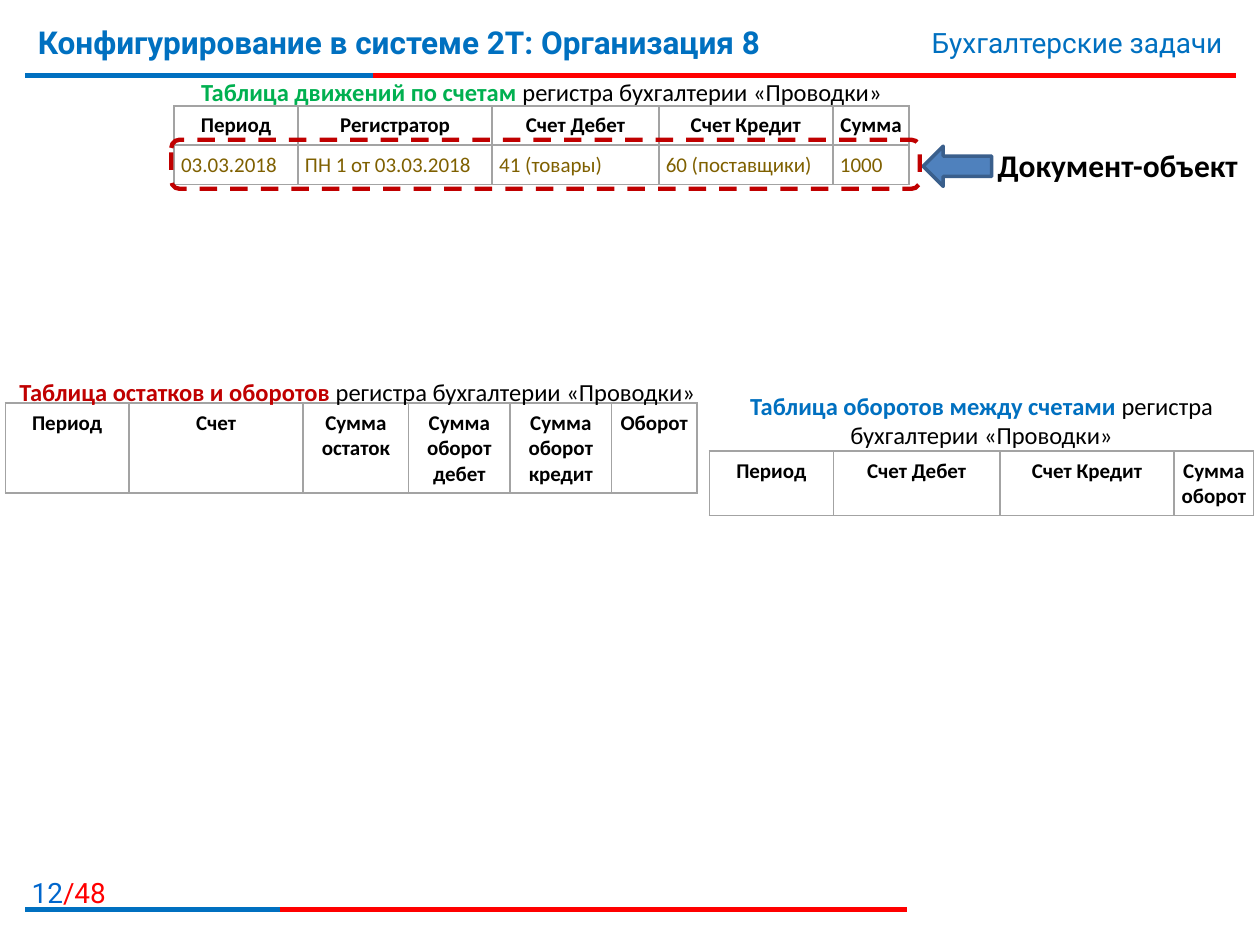
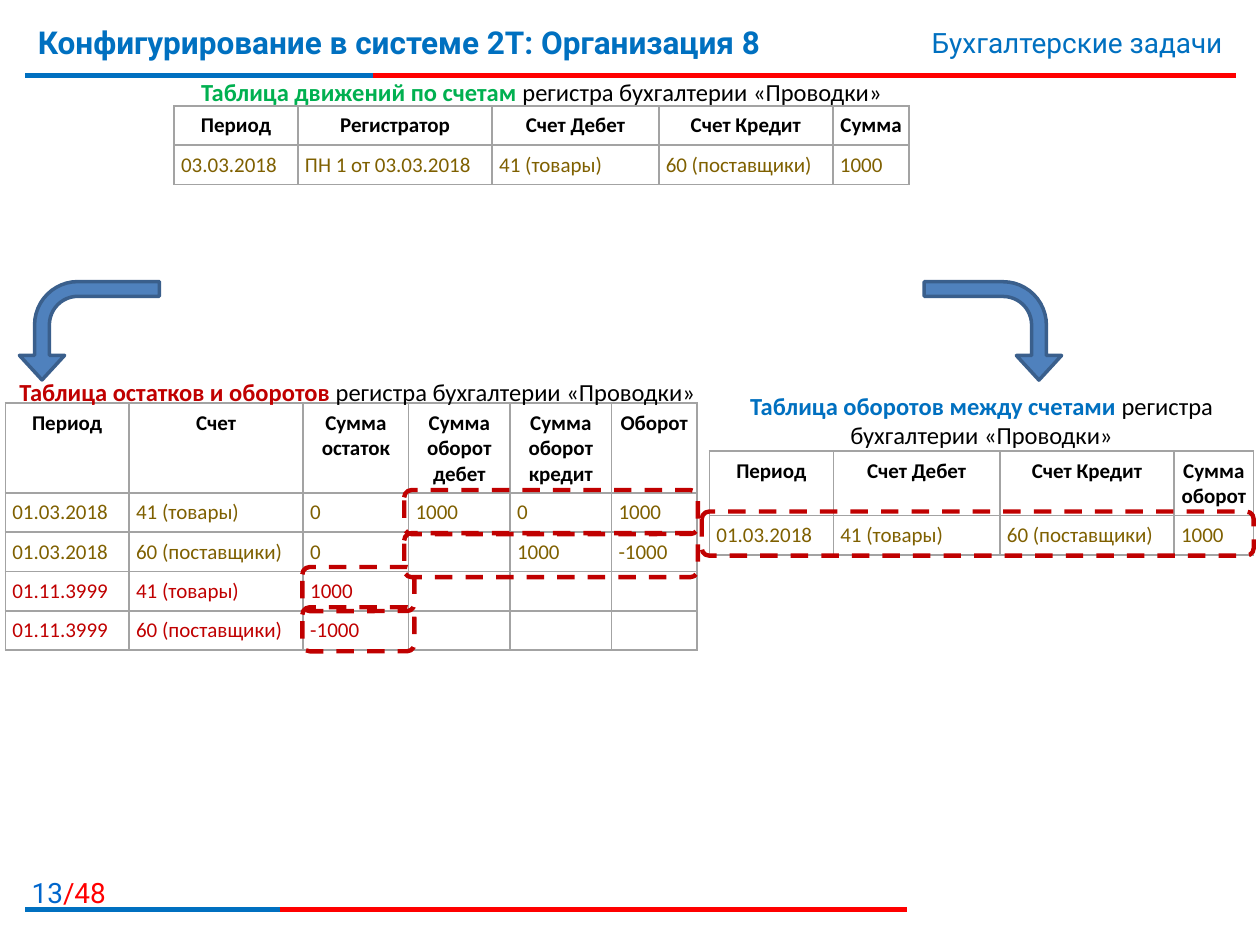
"""Build two slides on the movement, balance and turnover tables of a ledger register."""
from dataclasses import dataclass

from lxml import etree
from pptx import Presentation
from pptx.dml.color import RGBColor
from pptx.enum import dml, shapes, text
from pptx.oxml import ns
from pptx.util import Pt


@dataclass(frozen=True)
class Theme:
    """Colours, fonts and type sizes of the deck."""
    blue: str = "0070C0"
    page_blue: str = "0066CC"
    red: str = "FF0000"
    dark_red: str = "C00000"
    green: str = "00B050"
    olive: str = "7F6000"
    black: str = "000000"
    grid: str = "A3A3A3"
    arrow: str = "4F81BD"
    arrow_edge: str = "3A5F8C"
    head_font: str = "Roboto"
    body_font: str = "Calibri"
    title: int = 18
    topic: int = 16
    caption: int = 14
    cell: int = 12


THEME = Theme()
TITLE = "Конфигурирование в системе 2Т: Организация 8"
TOPIC = "Бухгалтерские задачи"
REGISTER = "регистра бухгалтерии «Проводки»"
PAGE_COUNT = 48
GOODS, SUPPLIERS = "41 (товары)", "60 (поставщики)"
MONTH, FAR_DATE = "01.03.2018", "01.11.3999"
ROW_HEIGHT = 22.5
PERIOD_WIDTH, DEBIT_WIDTH, ACCOUNT_WIDTH = 70.8, 95.2, 99.5

MOVEMENTS = {
    "left": 99.5, "top": 60.5, "header_height": ROW_HEIGHT,
    "widths": (PERIOD_WIDTH, 111, DEBIT_WIDTH, ACCOUNT_WIDTH, 43.6),
    "header": ("Период", "Регистратор", "Счет Дебет", "Счет Кредит", "Сумма"),
    "caption": ("Таблица движений по счетам ", REGISTER),
    "caption_box": (100, 40.3, 419, 24.2), "caption_color": THEME.green,
}
BALANCES = {
    "left": 3, "top": 230.4, "header_height": 51,
    "widths": (PERIOD_WIDTH, ACCOUNT_WIDTH, 60.2, 58, 58, 48.8),
    "header": ("Период", "Счет", "Сумма остаток", "Сумма оборот дебет",
               "Сумма оборот кредит", "Оборот"),
    "caption": ("Таблица остатков и оборотов", " " + REGISTER),
    "caption_box": (3, 211.7, 402.5, 24.2), "caption_color": THEME.dark_red,
}
TURNOVERS = {
    "left": 405.4, "top": 257.8, "header_height": 36.8,
    "widths": (PERIOD_WIDTH, DEBIT_WIDTH, ACCOUNT_WIDTH, 45.5),
    "header": ("Период", "Счет Дебет", "Счет Кредит", "Сумма оборот"),
    "caption": ("Таблица оборотов между счетами", " " + REGISTER),
    "caption_box": (405.4, 219.6, 311, 41.2), "caption_color": THEME.blue,
}

MOVEMENT_ROWS = [("03.03.2018", "ПН 1 от 03.03.2018", GOODS, SUPPLIERS, "1000")]
BALANCE_ROWS = [
    (MONTH, GOODS, "0", "1000", "0", "1000"),
    (MONTH, SUPPLIERS, "0", "", "1000", "-1000"),
    (FAR_DATE, GOODS, "1000", "", "", ""),
    (FAR_DATE, SUPPLIERS, "-1000", "", "", ""),
]
TURNOVER_ROWS = [(MONTH, GOODS, SUPPLIERS, "1000")]


def apply(target, values):
    """Set every attribute named in values on target."""
    for name, value in values.items():
        setattr(target, name, value)


def points(*lengths):
    """Turn plain numbers into point lengths."""
    return [Pt(length) for length in lengths]


def write(frame, runs, align=text.PP_ALIGN.LEFT):
    """Fill a text frame with one paragraph of (wording, size, font, colour, bold) runs."""
    apply(frame, {"word_wrap": True, "vertical_anchor": text.MSO_ANCHOR.TOP})
    paragraph = frame.paragraphs[0]
    apply(paragraph, {"alignment": align, "space_before": Pt(0)})
    for wording, size, font, color, bold in runs:
        run = paragraph.add_run()
        run.text = wording
        apply(run.font, {"size": Pt(size), "name": font, "bold": bold})
        run.font.color.rgb = RGBColor.from_string(color)


def add_label(slide, box, runs, align=text.PP_ALIGN.LEFT):
    """Add a text box with one formatted paragraph."""
    write(slide.shapes.add_textbox(*points(*box)).text_frame, runs, align)


def add_rule(slide, y, blue_end, red_end):
    """Draw a red rule whose left part is covered in blue."""
    for color, end in ((THEME.red, red_end), (THEME.blue, blue_end)):
        rule = slide.shapes.add_connector(
            shapes.MSO_CONNECTOR.STRAIGHT, *points(14.4, y, end, y))
        rule.line.width = Pt(3)
        rule.line.color.rgb = RGBColor.from_string(color)
        etree.SubElement(rule.element.spPr, ns.qn("a:effectLst"))


def border_cell(cell):
    """Give a cell thin grey borders on all sides."""
    properties = cell._tc.get_or_add_tcPr()
    for side in ("lnL", "lnR", "lnT", "lnB"):
        line = etree.SubElement(properties, ns.qn("a:" + side), w=str(Pt(1)))
        fill = etree.SubElement(line, ns.qn("a:solidFill"))
        etree.SubElement(fill, ns.qn("a:srgbClr"), val=THEME.grid)


def fill_cell(cell, wording, color, bold, align):
    """Write one bordered table cell."""
    margins = ("margin_left", "margin_right", "margin_top", "margin_bottom")
    apply(cell, dict.fromkeys(margins, Pt(4)))
    border_cell(cell)
    cell.fill.background()
    paragraph = cell.text_frame.paragraphs[0]
    if wording:
        paragraph.alignment = align
        run = paragraph.add_run()
        run.text = wording
        apply(run.font, {"size": Pt(THEME.cell), "name": THEME.body_font, "bold": bold})
        run.font.color.rgb = RGBColor.from_string(color)
    else:
        etree.SubElement(paragraph._p, ns.qn("a:endParaRPr"), sz=str(THEME.cell * 100))


def add_register_table(slide, layout, rows=()):
    """Add a register table with its caption."""
    widths = layout["widths"]
    heights = [layout["header_height"]] + [ROW_HEIGHT] * len(rows)
    table = slide.shapes.add_table(
        len(heights), len(widths),
        *points(layout["left"], layout["top"], sum(widths), sum(heights))).table
    apply(table, {"first_row": False, "horz_banding": False})
    for column, width in zip(table.columns, widths):
        column.width = Pt(width)
    for row, height in zip(table.rows, heights):
        row.height = Pt(height)
    for column, wording in enumerate(layout["header"]):
        fill_cell(table.cell(0, column), wording, THEME.black, True, text.PP_ALIGN.CENTER)
    for index, values in enumerate(rows, start=1):
        color = THEME.dark_red if values[0] == FAR_DATE else THEME.olive
        for column, wording in enumerate(values):
            fill_cell(table.cell(index, column), wording, color, False, text.PP_ALIGN.LEFT)
    name, register = layout["caption"]
    add_label(slide, layout["caption_box"], [
        (name, THEME.caption, THEME.body_font, layout["caption_color"], True),
        (register, THEME.caption, THEME.body_font, THEME.black, False),
    ], text.PP_ALIGN.CENTER)


def add_highlight(slide, *box):
    """Frame table cells with a dashed rounded outline."""
    frame = slide.shapes.add_shape(shapes.MSO_SHAPE.ROUNDED_RECTANGLE, *points(*box))
    frame.shadow.inherit = False
    frame.fill.background()
    frame.line.color.rgb = RGBColor.from_string(THEME.dark_red)
    apply(frame.line, {"width": Pt(2.5), "dash_style": dml.MSO_LINE.DASH})


def add_arrow(slide, preset, box):
    """Add a filled block arrow."""
    arrow = slide.shapes.add_shape(preset, *points(*box))
    arrow.shadow.inherit = False
    arrow.fill.solid()
    arrow.fill.fore_color.rgb = RGBColor.from_string(THEME.arrow)
    arrow.line.color.rgb = RGBColor.from_string(THEME.arrow_edge)
    arrow.line.width = Pt(2)
    return arrow


def add_bent_arrow(slide, box, flips):
    """Add an arrow that bends down towards a table."""
    arrow = add_arrow(slide, shapes.MSO_SHAPE.BENT_ARROW, box)
    arrow.rotation = 270
    for index, value in enumerate((0.15, 0.23, 0.25, 0.44)):
        arrow.adjustments[index] = value
    for flip in flips:
        arrow.element.spPr.find(ns.qn("a:xfrm")).set(flip, "1")


def add_page(deck, number):
    """Add a slide with the shared title, topic, rules and page number."""
    slide = deck.slides.add_slide(deck.slide_layouts[5])
    add_rule(slide, 43.2, 213.1, 706.3)
    add_rule(slide, 519.8, 159.8, 518.4)
    left, top, width, height = points(14.4, 9.4, 532.8, 44.6)
    title = slide.shapes.title
    apply(title, {"left": left, "top": top, "width": width, "height": height})
    title.text_frame.auto_size = text.MSO_AUTO_SIZE.NONE
    write(title.text_frame, [(TITLE, THEME.title, THEME.head_font, THEME.blue, True)])
    add_label(slide, (427.7, 10.8, 278, 26.6),
              [(TOPIC, THEME.topic, THEME.head_font, THEME.blue, False)],
              text.PP_ALIGN.RIGHT)
    add_label(slide, (3.6, 496.8, 64, 23), [
        (str(number), THEME.topic, THEME.head_font, THEME.page_blue, False),
        (f"/{PAGE_COUNT}", THEME.topic, THEME.head_font, THEME.red, False),
    ], text.PP_ALIGN.RIGHT)
    return slide


def add_document_slide(deck):
    """Show the document writing a movement, with the totals still empty."""
    slide = add_page(deck, 12)
    add_register_table(slide, TURNOVERS)
    add_register_table(slide, BALANCES)
    add_register_table(slide, MOVEMENTS, MOVEMENT_ROWS)
    add_arrow(slide, shapes.MSO_SHAPE.LEFT_ARROW, (527.5, 83.5, 39.2, 23))
    add_highlight(slide, 97.9, 79.9, 427.7, 28)
    add_label(slide, (563, 79.9, 157, 29),
              [("Документ-объект", THEME.title, THEME.body_font, THEME.black, True)])


def add_totals_slide(deck):
    """Show how the movement feeds the balances and the turnovers."""
    slide = add_page(deck, 13)
    add_register_table(slide, TURNOVERS, TURNOVER_ROWS)
    add_register_table(slide, BALANCES, BALANCE_ROWS)
    add_register_table(slide, MOVEMENTS, MOVEMENT_ROWS)
    add_bent_arrow(slide, (23, 149, 56.2, 80), ("flipH",))
    for top in (280, 304.6):
        add_highlight(slide, 231, top, 167.8, 25.2)
    for top in (324, 347):
        add_highlight(slide, 172.8, top, 64, 25.2)
    add_highlight(slide, 401, 292.3, 315.4, 25.2)
    add_bent_arrow(slide, (539.3, 149.8, 56.2, 78.5), ("flipH", "flipV"))


def main():
    """Build and save the deck."""
    deck = Presentation()
    apply(deck, {"slide_width": Pt(720), "slide_height": Pt(540)})
    add_document_slide(deck)
    add_totals_slide(deck)
    deck.save("out.pptx")


main()
